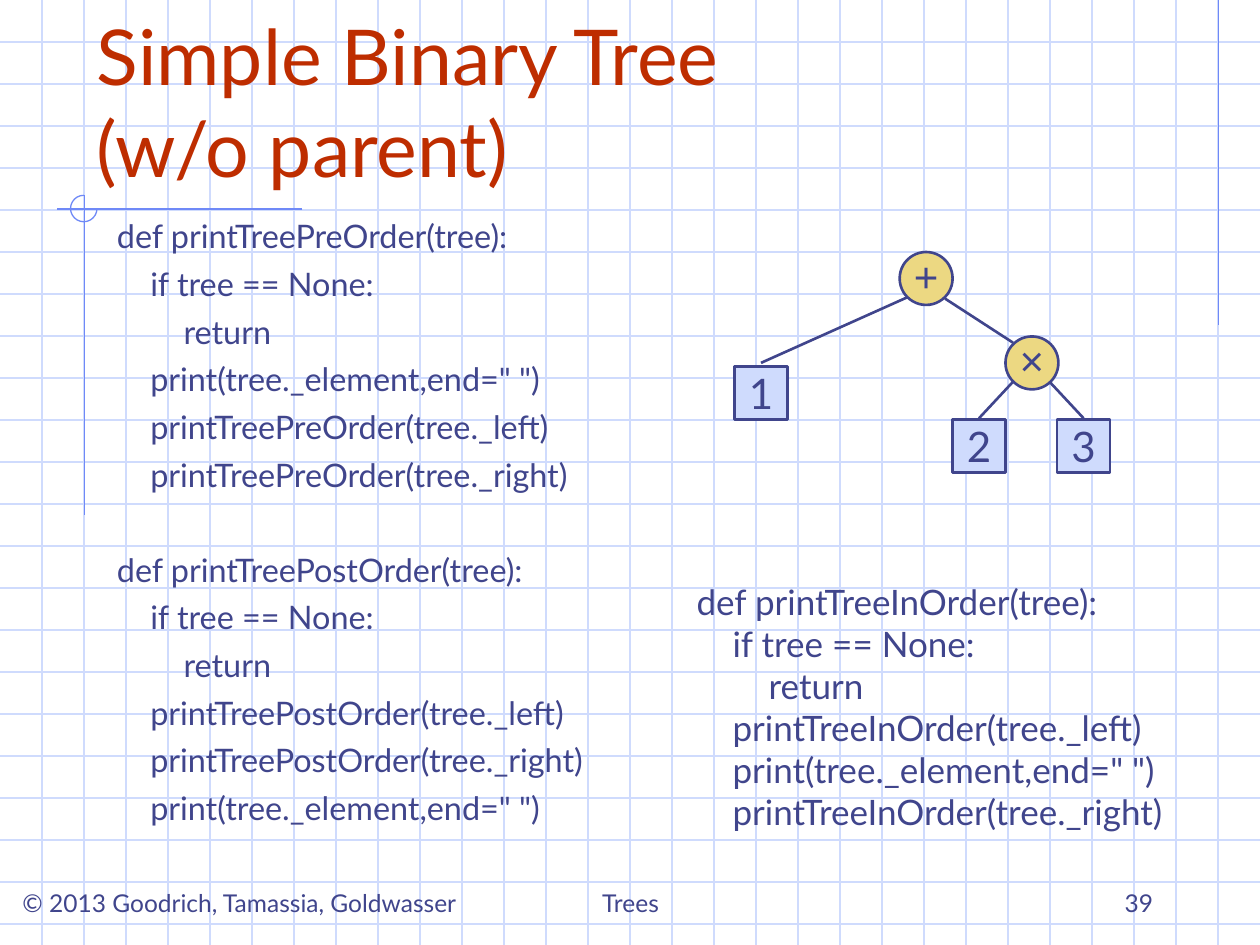
from lxml import etree
from pptx import Presentation
from pptx.dml.color import RGBColor
from pptx.enum import shapes, text
from pptx.oxml.ns import qn
from pptx.util import Inches, Pt

WIDTH, HEIGHT = 10, 7.5
COLORS = {"ink": "40458C", "title": "BE2D00", "grid": "CFDBFD", "accent": "6F89F7",
          "inner": "ECD882", "leaf": "CFDBFD"}

TITLE = "Simple Binary Tree \v(w/o parent)"

# Code lines as (indent level, text)
GUARD = [(1, "if tree == None:"), (2, "return")]
VISIT = (1, 'print(tree._element,end=" ")')
PRE_ORDER = [(0, "def printTreePreOrder(tree):"), *GUARD, VISIT,
             (1, "printTreePreOrder(tree._left)"),
             (1, "printTreePreOrder(tree._right)")]
POST_ORDER = [(0, "def printTreePostOrder(tree):"), *GUARD,
              (1, "printTreePostOrder(tree._left)"),
              (1, "printTreePostOrder(tree._right)"), VISIT]
IN_ORDER = [(0, "def printTreeInOrder(tree):"), *GUARD,
            (1, "printTreeInOrder(tree._left)"), VISIT,
            (1, "printTreeInOrder(tree._right)")]

LEFT, CENTER, RIGHT = text.PP_ALIGN.LEFT, text.PP_ALIGN.CENTER, text.PP_ALIGN.RIGHT
# (text, left, width, alignment)
FOOTERS = [("© 2013 Goodrich, Tamassia, Goldwasser", 0.08, 3.92, LEFT),
           ("Trees", 3.42, 3.17, CENTER),
           ("39", 7.17, 2.08, RIGHT)]

NODE_SIZE = 0.42
INNER_NODES = [("+", 7.14, 2), ("×", 7.98, 2.67)]
LEAVES = [("1", 5.83, 2.91), ("2", 7.56, 3.33), ("3", 8.39, 3.33)]
BRANCHES = [(7.2, 2.36, 6.04, 2.88), (8.04, 2.72, 7.5, 2.37),
            (8.6, 3.32, 8.33, 3.03), (7.77, 3.32, 8.04, 3.03)]
ACCENTS = [(9.67, 0, 9.67, 2.58), (2.4, 1.66, 0.45, 1.66), (0.67, 1.55, 0.67, 4.09)]


def rgb(name):
    return RGBColor.from_string(COLORS[name])


def add_line(parent, ends, color, weight):
    line = parent.shapes.add_connector(shapes.MSO_CONNECTOR.STRAIGHT, *map(Inches, ends))
    line.line.color.rgb = rgb(color)
    line.line.width = Pt(weight)
    etree.SubElement(line._element.spPr, qn("a:effectLst"))


def style_runs(paragraph, size, color="ink", font="Lato"):
    for run in paragraph.runs:
        run.font.size = Pt(size)
        run.font.name = font
        run.font.color.rgb = rgb(color)


def add_text(slide, box, lines, size, color="ink", align=LEFT, anchor=text.MSO_ANCHOR.TOP):
    frame = slide.shapes.add_textbox(*map(Inches, box)).text_frame
    frame.word_wrap = True
    frame.vertical_anchor = anchor
    frame.text = "\n".join(lines)
    for paragraph in frame.paragraphs:
        paragraph.alignment = align
        style_runs(paragraph, size, color)
    return frame


def add_code(slide, box, functions, size, gap=0):
    """Add functions line by line, one empty line's height apart."""
    lines = [line for function in functions for line in function]
    frame = add_text(slide, box, [line for _, line in lines], size)
    indent = Pt(size * 1.03)
    for number, (paragraph, (level, _)) in enumerate(zip(frame.paragraphs, lines)):
        paragraph._p.get_or_add_pPr().set("marL", str(int(indent * level)))
        blank_line = size * 1.2 + gap if number and level == 0 else 0
        paragraph.space_before = Pt(gap + blank_line)


def add_node(tree, kind, label, left, top, fill, font, insets):
    node = tree.shapes.add_shape(kind, *map(Inches, (left, top, NODE_SIZE, NODE_SIZE)))
    node.shadow.inherit = False
    node.fill.solid()
    node.fill.fore_color.rgb = rgb(fill)
    node.line.color.rgb = rgb("ink")
    node.line.width = Pt(1.5)
    frame = node.text_frame
    frame.word_wrap = False
    frame.vertical_anchor = text.MSO_ANCHOR.MIDDLE
    (frame.margin_left, frame.margin_top,
     frame.margin_right, frame.margin_bottom) = map(Inches, insets)
    frame.text = label
    frame.paragraphs[0].alignment = CENTER
    style_runs(frame.paragraphs[0], 24, font=font)


def add_background(slide):
    background = slide.shapes.add_group_shape()
    for row in range(1, int(HEIGHT * 3) + 1):
        add_line(background, (0, row / 3, WIDTH, row / 3), "grid", 0.75)
    for column in range(1, WIDTH * 3):
        add_line(background, (column / 3, 0, column / 3, HEIGHT), "grid", 0.75)
    for ends in ACCENTS:
        add_line(background, ends, "accent", 0.75)
    arc = background.shapes.add_shape(shapes.MSO_SHAPE.ARC,
                                      *map(Inches, (0.56, 1.55, 0.21, 0.21)))
    arc.shadow.inherit = False
    arc.fill.background()
    arc.line.color.rgb = rgb("accent")
    arc.line.width = Pt(0.75)
    arc.adjustments[0] = 0
    arc.adjustments[1] = 270 * 0.6  # three quarters of a turn


def add_tree(slide):
    tree = slide.shapes.add_group_shape()
    for node in INNER_NODES:
        add_node(tree, shapes.MSO_SHAPE.OVAL, *node, "inner", "Arial", (0, 0, 0, 0.05))
    for node in LEAVES:
        add_node(tree, shapes.MSO_SHAPE.RECTANGLE, *node, "leaf", "Lato",
                 (0.1, 0.05, 0.1, 0.05))
    for ends in BRANCHES:
        add_line(tree, ends, "ink", 1.5)


def main():
    deck = Presentation()
    deck.slide_width, deck.slide_height = Inches(WIDTH), Inches(HEIGHT)
    slide = deck.slides.add_slide(deck.slide_layouts[6])
    bottom = text.MSO_ANCHOR.BOTTOM
    add_background(slide)
    add_text(slide, (0.67, 0.33, 8.5, 1.25), [TITLE], 44, "title", anchor=bottom)
    add_code(slide, (0.83, 1.67, 9, 5.17), [PRE_ORDER, POST_ORDER], 18.5, gap=5)
    for label, left, width, align in FOOTERS:
        add_text(slide, (left, 6.83, width, 0.5), [label], 14, align=align, anchor=bottom)
    add_tree(slide)
    add_code(slide, (5.43, 4.56, 4.27, 2.44), [IN_ORDER], 20)
    deck.save("out.pptx")


if __name__ == "__main__":
    main()
